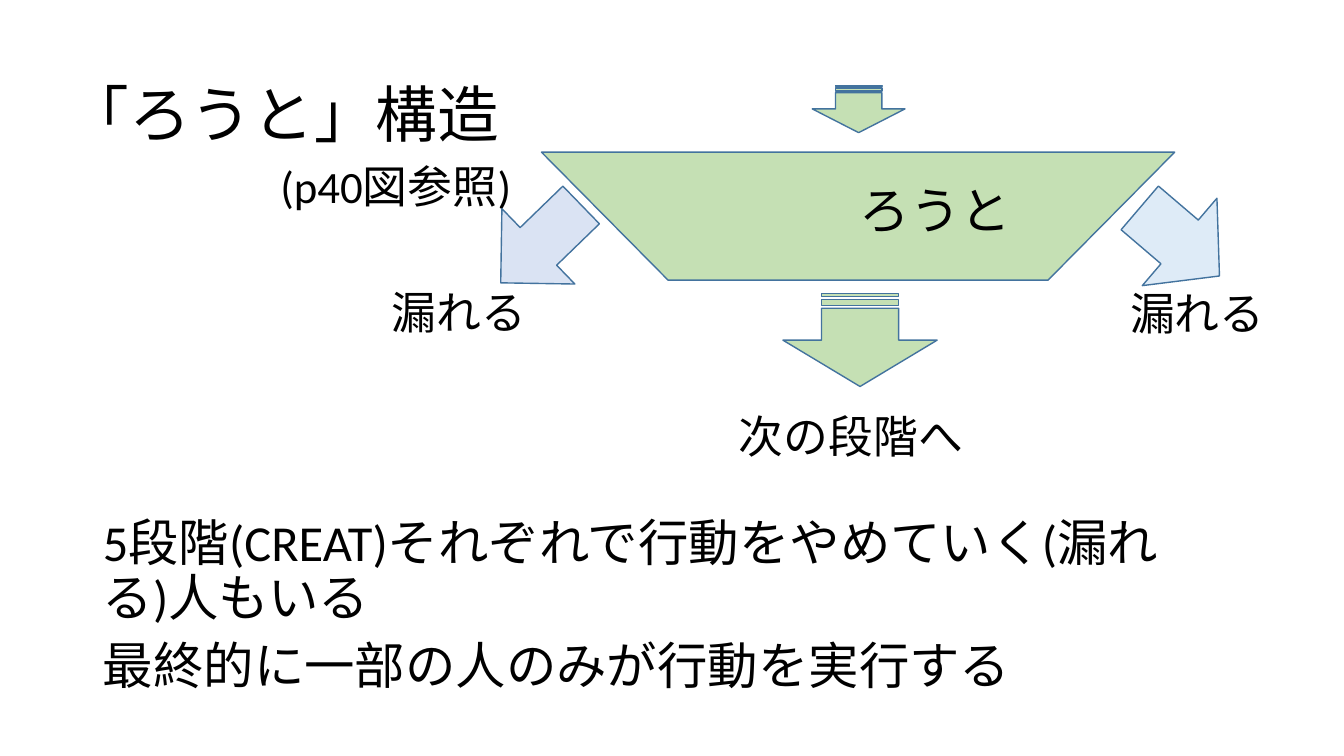
from lxml import etree
from pptx import Presentation
from pptx.dml.color import RGBColor
from pptx.enum.shapes import MSO_SHAPE
from pptx.enum.text import MSO_ANCHOR, MSO_AUTO_SIZE, PP_ALIGN
from pptx.oxml.ns import qn
from pptx.util import Inches, Pt

FUNNEL = MSO_SHAPE.FLOWCHART_MANUAL_OPERATION
STRIPED_ARROW = MSO_SHAPE.STRIPED_RIGHT_ARROW
ARROW = MSO_SHAPE.RIGHT_ARROW
TOP, MIDDLE, BOTTOM = MSO_ANCHOR.TOP, MSO_ANCHOR.MIDDLE, MSO_ANCHOR.BOTTOM
GREEN, LAVENDER, PALE_BLUE = "C5E0B4", "DAE3F3", "DEEBF7"
OUTLINE, BLACK = "43739E", "000000"

presentation = Presentation()
presentation.slide_width = Inches(13.33)
presentation.slide_height = Inches(7.5)
slide = presentation.slides.add_slide(presentation.slide_layouts[1])


def place(left, top, width, height):
    """Turn percentages of the slide's size into lengths."""
    across, down = presentation.slide_width / 100, presentation.slide_height / 100
    return int(left * across), int(top * down), int(width * across), int(height * down)


def write(paragraph, text, size, indent=0):
    """Add one left-aligned run without a bullet."""
    paragraph.alignment = PP_ALIGN.LEFT
    properties = paragraph._p.get_or_add_pPr()
    properties.set("marL", str(Inches(indent)))
    properties.set("indent", "0")
    etree.SubElement(properties, qn("a:buNone"))
    run = paragraph.add_run()
    run.text = text
    run.font.name = "Calibri"
    run.font.size = Pt(size)
    run.font.color.rgb = RGBColor.from_string(BLACK)


# Title and body
title, body = slide.shapes.title, slide.placeholders[1]
for placeholder, box, anchor in (
    (title, (4.28, -2.4, 88.9, 44.13), MIDDLE),
    (body, (6.9, 57.07, 83.8, 37.47), TOP),
):
    placeholder.left, placeholder.top, placeholder.width, placeholder.height = place(*box)
    placeholder.text_frame.auto_size = MSO_AUTO_SIZE.NONE
    placeholder.text_frame.word_wrap = True
    placeholder.text_frame.vertical_anchor = anchor

heading = title.text_frame.paragraphs[0]
heading.line_spacing = 0.9
write(heading, "「ろうと」構造", 44)
reference = title.text_frame.add_paragraph()
reference.line_spacing = Pt(44)
write(reference, "(p40図参照)", 32, indent=2.11)

body.text_frame.margin_top = Inches(0.86)
stages = body.text_frame.paragraphs[0]
outcome = body.text_frame.add_paragraph()
for paragraph, space_before, text in (
    (stages, 0, "5段階(CREAT)それぞれで行動をやめていく(漏れる)人もいる"),
    (outcome, 10, "最終的に一部の人のみが行動を実行する"),
):
    paragraph.line_spacing = 0.9
    paragraph.space_before = Pt(space_before)
    write(paragraph, text, 36)

# Funnel, flow arrows and leak arrows
for kind, box, rotation, fill in (
    (FUNNEL, (40.29, 20.13, 47.11, 16.93), 0, GREEN),
    (STRIPED_ARROW, (60.54, 34.8, 6.9, 20.4), 90, GREEN),
    (ARROW, (36.08, 25.33, 8.33, 13.87), 135.9, LAVENDER),
    (ARROW, (83.87, 24.4, 7.8, 15.2), 40.5, PALE_BLUE),
    (STRIPED_ARROW, (62.12, 8.27, 3.53, 12.27), 90, GREEN),
):
    shape = slide.shapes.add_shape(kind, *place(*box))
    shape.rotation = rotation
    shape.shadow.inherit = False
    shape.fill.solid()
    shape.fill.fore_color.rgb = RGBColor.from_string(fill)
    shape.line.color.rgb = RGBColor.from_string(OUTLINE)
    shape.line.width = Pt(1)

# Labels sit on the bottom edge of their boxes
for text, size, box, indent in (
    ("次の段階へ", 32, (54.24, 48, 21.01, 13.87), 0),
    ("漏れる", 32, (28.43, 29.73, 18.3, 15.73), 0),
    ("漏れる", 32, (83.35, 29.87, 15, 15.73), 0),
    ("ろうと", 36, (51.99, 15.07, 24.76, 17.33), 1.5),
):
    label = slide.shapes.add_textbox(*place(*box))
    label.text_frame.word_wrap = True
    label.text_frame.vertical_anchor = BOTTOM
    write(label.text_frame.paragraphs[0], text, size, indent)

presentation.save("out.pptx")
